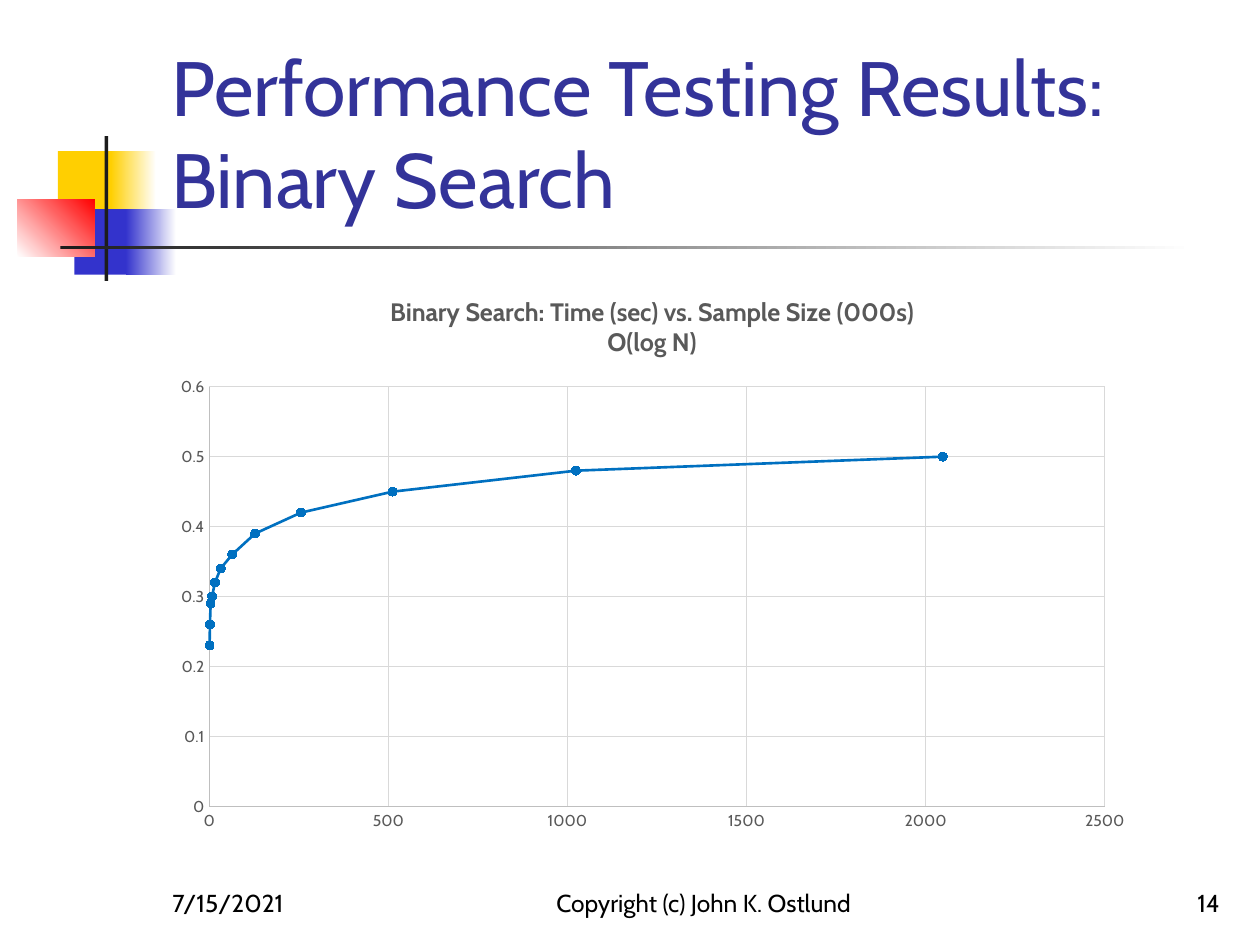
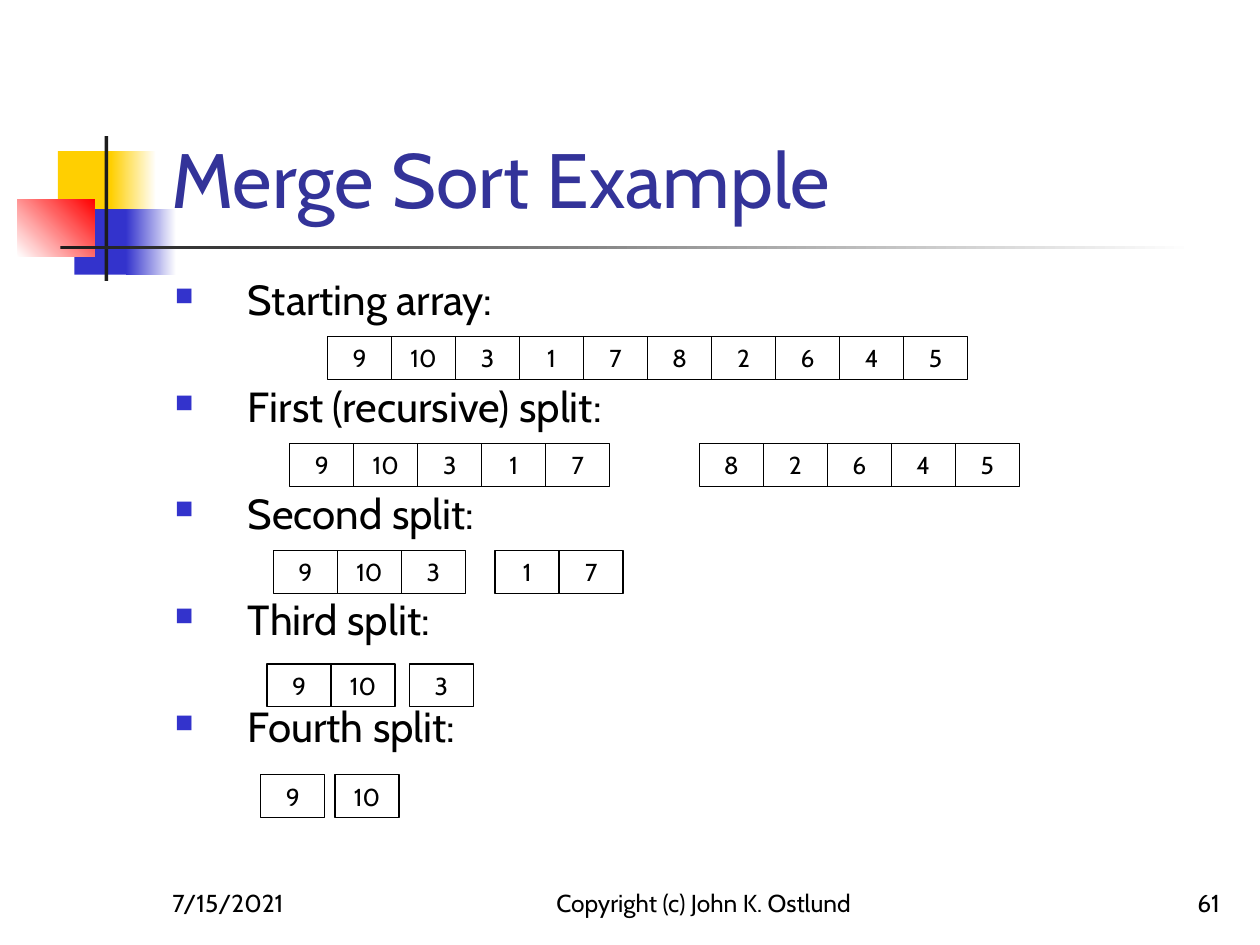
from lxml import etree
from pptx import Presentation
from pptx import util as u
from pptx.chart import data as chart_data
from pptx.dml import color
from pptx.enum import chart as chart_enum, shapes, text
from pptx.oxml import ns

FONT = "Cabin"
COLORS = {
    "black": "000000",
    "white": "FFFFFF",
    "title": "333399",
    "blue": "3333CC",
    "yellow": "FFCF01",
    "red": "FF0000",
    "rule": "1C1C1C",
    "series": "0070C0",
    "label": "595959",
    "axis": "BFBFBF",
    "grid": "D9D9D9",
}
CELL_WIDTH = 5.08 / 10
CELL_HEIGHT = 0.34


def rgb(name):
    return color.RGBColor.from_string(COLORS[name])


def set_font(font, size, color_name="black", bold=False):
    font.name = FONT
    font.size = u.Pt(size)
    font.bold = bold
    font.color.rgb = rgb(color_name)


def write(frame, content, size=14, color_name="black", align="LEFT", anchor="BOTTOM"):
    """Put one formatted paragraph into a text frame."""
    frame.word_wrap = True
    frame.vertical_anchor = getattr(text.MSO_ANCHOR, anchor)
    paragraph = frame.paragraphs[0]
    paragraph.text = content
    paragraph.alignment = getattr(text.PP_ALIGN, align)
    set_font(paragraph.runs[0].font, size, color_name)


def set_line(line, color_name, width=0.75):
    line.color.rgb = rgb(color_name)
    line.width = u.Pt(width)


def add_square_bullet(paragraph, indent):
    properties = paragraph._p.get_or_add_pPr()
    properties.set("marL", str(u.Inches(indent)))
    properties.set("indent", str(-u.Inches(indent)))
    bullet_color = etree.SubElement(properties, ns.qn("a:buClr"))
    etree.SubElement(bullet_color, ns.qn("a:srgbClr"), val=COLORS["blue"])
    etree.SubElement(properties, ns.qn("a:buSzPct"), val="60000")
    etree.SubElement(properties, ns.qn("a:buChar"), char="■")


class Deck:
    def __init__(self):
        self.presentation = Presentation()
        self.presentation.slide_width = u.Inches(10)
        self.presentation.slide_height = u.Inches(7.5)
        self.slide = None

    def add_slide(self, title, number):
        self.slide = self.presentation.slides.add_slide(self.presentation.slide_layouts[6])
        self.add_ornament()
        self.add_text(1.26, 0.23, 8.52, 1.6, title, size=44, color_name="title")
        # Footer
        self.add_text(7.7, 6.83, 2.08, 0.5, number, align="RIGHT")
        self.add_text(1.27, 6.83, 2.08, 0.5, "7/15/2021")
        self.add_text(4, 6.83, 3.17, 0.5, "Copyright (c) John K. Ostlund", align="CENTER")

    def add_ornament(self):
        self.add_rectangle(0.46, 1.2, 0.48, 0.52, ["yellow"])
        self.add_rectangle(0.88, 1.2, 0.36, 0.52, ["yellow", "white"])
        self.add_rectangle(0.59, 1.66, 0.46, 0.52, ["blue"])
        self.add_rectangle(1, 1.66, 0.4, 0.52, ["blue", "white"])
        self.add_rectangle(0.14, 1.58, 0.61, 0.46, ["white", "red"], angle=45)
        self.add_rectangle(0.83, 1.08, 0.03, 1.15, ["rule"])
        self.add_rectangle(0.48, 1.95, 9, 0.03, ["rule", "white"])

    def add_rectangle(self, left, top, width, height, fills=(), angle=0):
        """No fill name leaves it clear, one is solid, two make a gradient."""
        shape = self.slide.shapes.add_shape(
            shapes.MSO_SHAPE.RECTANGLE,
            u.Inches(left), u.Inches(top), u.Inches(width), u.Inches(height))
        shape.shadow.inherit = False
        shape.line.fill.background()
        if not fills:
            shape.fill.background()
        elif len(fills) == 1:
            shape.fill.solid()
            shape.fill.fore_color.rgb = rgb(fills[0])
        else:
            shape.fill.gradient()
            shape.fill.gradient_angle = angle
            for stop, name in zip(shape.fill.gradient_stops, fills):
                stop.color.rgb = rgb(name)
        return shape

    def add_text(self, left, top, width, height, content, **style):
        box = self.slide.shapes.add_textbox(
            u.Inches(left), u.Inches(top), u.Inches(width), u.Inches(height))
        write(box.text_frame, content, **style)

    def add_bullets(self, left, top, width, height, items, gap):
        box = self.slide.shapes.add_textbox(
            u.Inches(left), u.Inches(top), u.Inches(width), u.Inches(height))
        frame = box.text_frame
        frame.word_wrap = True
        for index, item in enumerate(items):
            paragraph = frame.add_paragraph() if index else frame.paragraphs[0]
            add_square_bullet(paragraph, 0.58)
            paragraph.line_spacing = 0.9
            paragraph.space_before = u.Pt(gap if index else 0)
            paragraph.text = item
            set_font(paragraph.runs[0].font, 24)

    def add_array(self, left, top, values):
        for index, value in enumerate(values):
            cell = self.add_rectangle(left + index * CELL_WIDTH, top, CELL_WIDTH, CELL_HEIGHT)
            set_line(cell.line, "black")
            write(cell.text_frame, str(value), align="CENTER", anchor="MIDDLE")

    def add_scatter(self, left, top, width, height, title_lines, points):
        data = chart_data.XyChartData()
        series_data = data.add_series("Series 1")
        for x, y in points:
            series_data.add_data_point(x, y)
        chart = self.slide.shapes.add_chart(
            chart_enum.XL_CHART_TYPE.XY_SCATTER_LINES,
            u.Inches(left), u.Inches(top), u.Inches(width), u.Inches(height), data).chart
        set_font(chart.font, 10)
        chart.has_legend = False
        chart.plots[0].vary_by_categories = False

        # Chart title
        chart.has_title = True
        frame = chart.chart_title.text_frame
        for index, line in enumerate(title_lines):
            paragraph = frame.add_paragraph() if index else frame.paragraphs[0]
            paragraph.text = line
            set_font(paragraph.runs[0].font, 14.4, "label", bold=True)
        chart.chart_title.include_in_layout = False

        # Axes
        for axis, maximum, step in ((chart.category_axis, 2500, 500), (chart.value_axis, 0.6, 0.1)):
            axis.minimum_scale, axis.maximum_scale, axis.major_unit = 0, maximum, step
            axis.major_tick_mark = axis.minor_tick_mark = chart_enum.XL_TICK_MARK.NONE
            axis.has_major_gridlines = True
            set_line(axis.major_gridlines.format.line, "grid")
            set_line(axis.format.line, "axis")
            set_font(axis.tick_labels.font, 9, "label")
            axis.tick_labels.number_format = "General"
            axis.tick_labels.number_format_is_linked = False

        # Series
        series = chart.plots[0].series[0]
        series.smooth = False
        set_line(series.format.line, "series", 1.5)
        series.marker.style = chart_enum.XL_MARKER_STYLE.CIRCLE
        series.marker.size = 5
        series.marker.format.fill.solid()
        series.marker.format.fill.fore_color.rgb = rgb("series")
        set_line(series.marker.format.line, "series")

        # Fixed inner plot area, in fractions of the chart
        plot_area = chart._chartSpace.chart.plotArea
        for old_layout in plot_area.findall(ns.qn("c:layout")):
            plot_area.remove(old_layout)
        layout = etree.Element(ns.qn("c:layout"))
        plot_area.insert(0, layout)
        manual = etree.SubElement(layout, ns.qn("c:manualLayout"))
        for tag, value in (("layoutTarget", "inner"), ("xMode", "edge"), ("yMode", "edge"),
                           ("x", "0.05"), ("y", "0.2"), ("w", "0.91"), ("h", "0.74")):
            etree.SubElement(manual, ns.qn("c:" + tag), val=value)


def build_results(deck):
    deck.add_slide("Performance Testing Results: Binary Search", "14")
    seconds = [0.23, 0.26, 0.29, 0.3, 0.32, 0.34, 0.36, 0.39, 0.42, 0.45, 0.48, 0.5]
    points = [(2 ** power, time) for power, time in enumerate(seconds)]
    deck.add_scatter(
        1.27, 2.17, 7.81, 4.5,
        ["Binary Search: Time (sec) vs. Sample Size (000s)", "O(log N)"], points)


def build_merge_sort(deck):
    deck.add_slide("Merge Sort Example", "61")
    steps = ["Starting array:", "First (recursive) split:", "Second split:",
             "Third split:", "Fourth split:"]
    deck.add_bullets(1.29, 2.17, 8.5, 4.5, steps, gap=35)

    # Each row: top, then the left edge and slice of every part
    numbers = [9, 10, 3, 1, 7, 8, 2, 6, 4, 5]
    rows = [
        (2.67, [(2.6, 0, 10)]),
        (3.52, [(2.3, 0, 5), (5.55, 5, 10)]),
        (4.37, [(2.17, 0, 3), (3.93, 3, 5)]),
        (5.27, [(2.12, 0, 2), (3.25, 2, 3)]),
        (6.15, [(2.07, 0, 1), (2.66, 1, 2)]),
    ]
    for top, parts in rows:
        for left, start, end in parts:
            deck.add_array(left, top, numbers[start:end])


def main():
    deck = Deck()
    build_results(deck)
    build_merge_sort(deck)
    deck.presentation.save("out.pptx")


if __name__ == "__main__":
    main()
